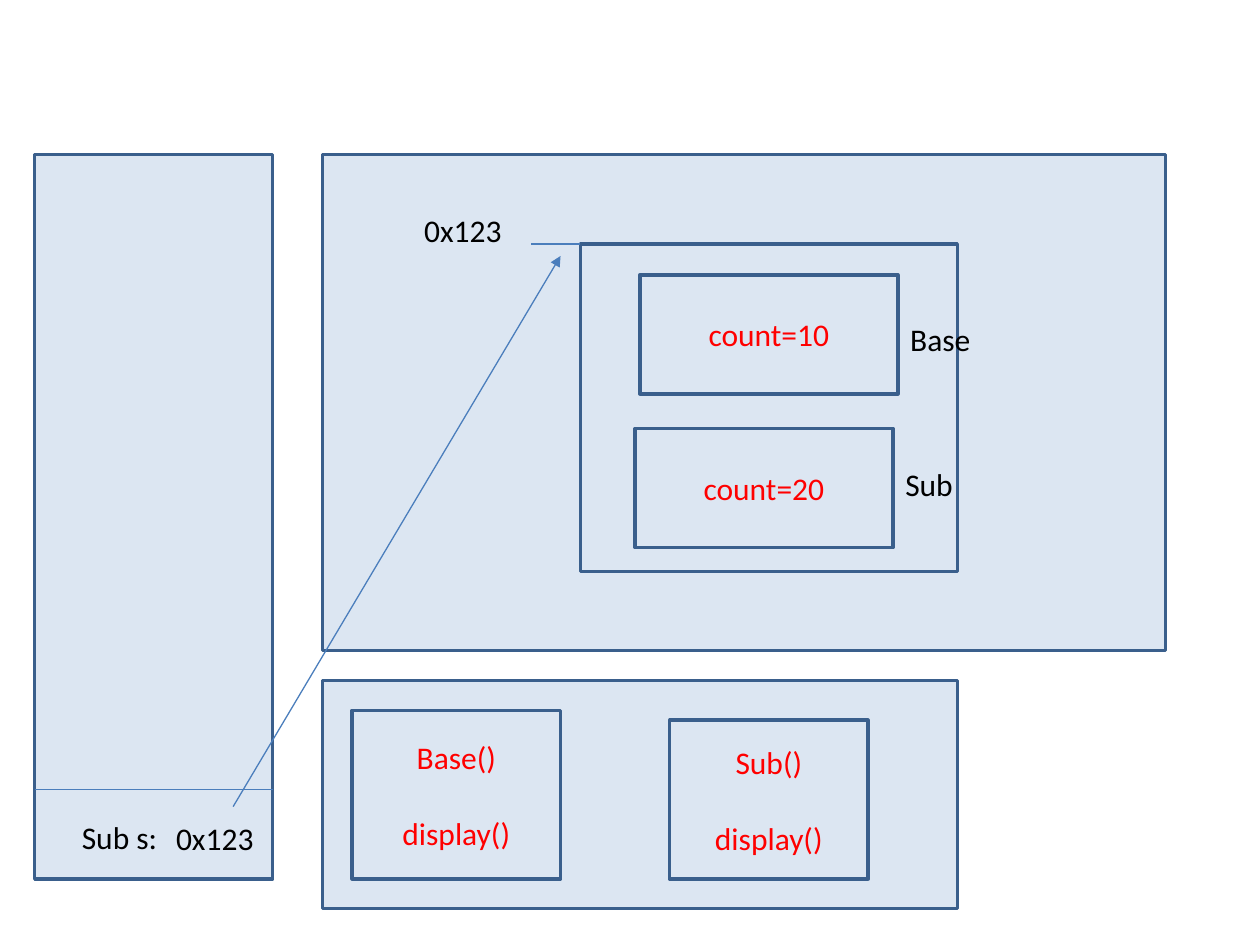
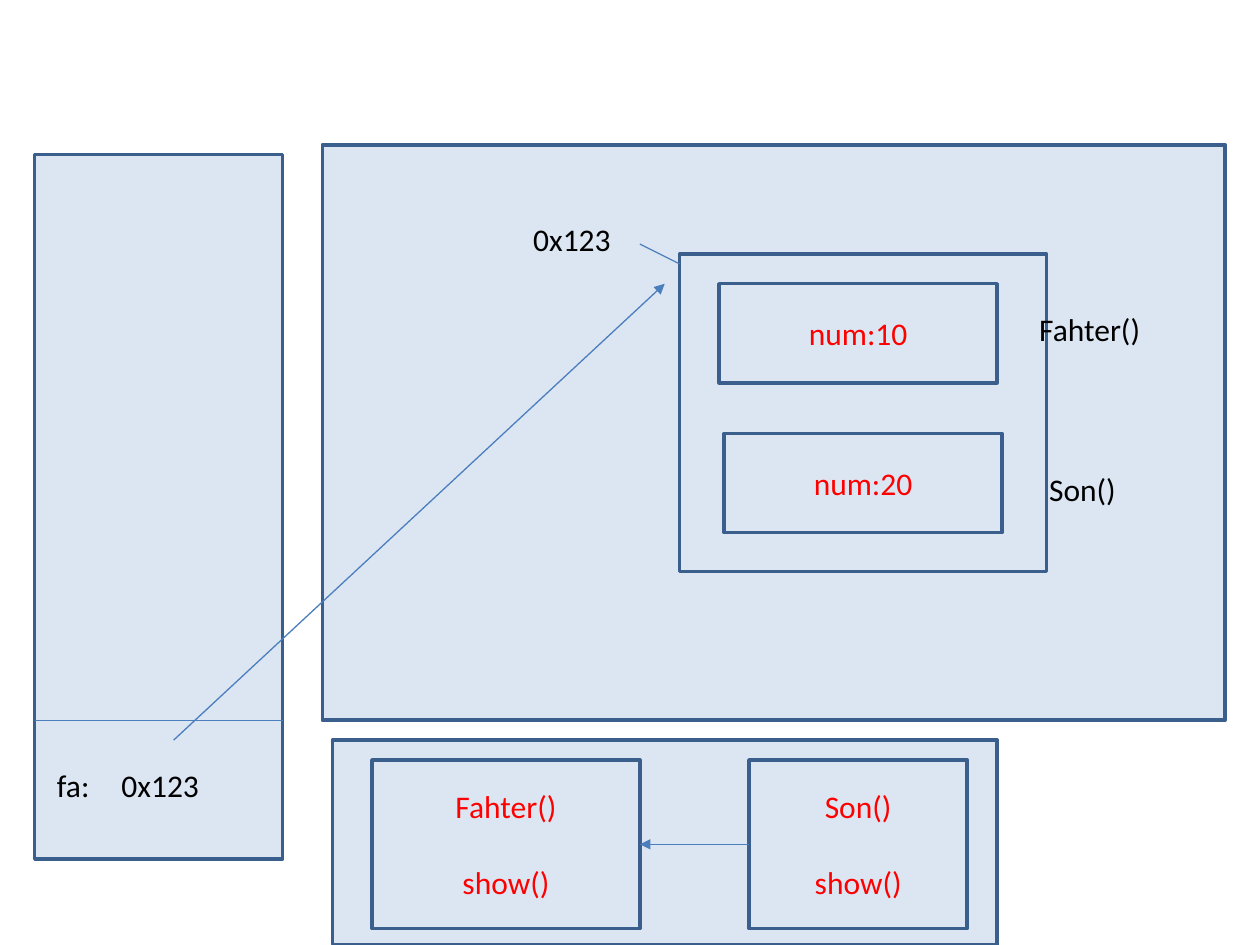
import pptx
import pptx.dml.color
import pptx.enum.shapes
import pptx.enum.text
import pptx.util
from pptx.oxml.ns import qn
from lxml import etree

Cm = pptx.util.Cm
Pt = pptx.util.Pt
Align = pptx.enum.text.PP_ALIGN
Anchor = pptx.enum.text.MSO_ANCHOR


def color(value):
    return pptx.dml.color.RGBColor.from_string(value)


def write(frame, text, size=18, fill="000000", font="Calibri",
          align=Align.LEFT, anchor=Anchor.TOP, gap=0):
    """Put each line of text in its own paragraph, with gap points between."""
    frame.word_wrap = True
    frame.vertical_anchor = anchor
    for index, line in enumerate(text.split("\n")):
        para = frame.add_paragraph() if index else frame.paragraphs[0]
        para.alignment = align
        if index:
            para.space_before = Pt(gap)
        span = para.add_run()
        span.text = line
        span.font.size = Pt(size)
        span.font.name = font
        span.font.color.rgb = color(fill)


class MemoryDiagram:
    """Style and current slide of a stack, heap and method area drawing."""
    area_fill = "DCE6F2"
    outline = "3A5F8C"
    pointer = "4B7EBC"
    content = "FF0000"
    line_gap = 22
    label_height = 1.02

    def __init__(self, deck):
        self.deck = deck
        self.page = None

    def new_page(self):
        self.page = self.deck.slides.add_slide(self.deck.slide_layouts[6])

    def box(self, left, top, width, height, text=""):
        box = self.page.shapes.add_shape(
            pptx.enum.shapes.MSO_SHAPE.RECTANGLE,
            Cm(left), Cm(top), Cm(width), Cm(height))
        box.shadow.inherit = False
        box.fill.solid()
        box.fill.fore_color.rgb = color(self.area_fill)
        box.line.color.rgb = color(self.outline)
        box.line.width = Pt(2)
        if text:
            write(box.text_frame, text, fill=self.content, align=Align.CENTER,
                  anchor=Anchor.MIDDLE, gap=self.line_gap)
        return box

    def label(self, text, left, top, width):
        label = self.page.shapes.add_textbox(
            Cm(left), Cm(top), Cm(width), Cm(self.label_height))
        write(label.text_frame, text)
        label.text_frame.auto_size = pptx.enum.text.MSO_AUTO_SIZE.SHAPE_TO_FIT_TEXT

    def line(self, start, end, arrow=False):
        line = self.page.shapes.add_connector(
            pptx.enum.shapes.MSO_CONNECTOR.STRAIGHT,
            *(Cm(value) for value in start + end))
        line.line.color.rgb = color(self.pointer)
        line.line.width = Pt(0.75)
        if arrow:
            etree.SubElement(line.line._get_or_add_ln(), qn("a:tailEnd"),
                             type="triangle")
        etree.SubElement(line._element.spPr, qn("a:effectLst"))
        return line


def base_and_sub(diagram):
    diagram.new_page()
    # Stack, heap and method area
    diagram.box(0.7, 3.12, 4.8, 14.6)
    diagram.box(6.5, 3.12, 17, 10)
    diagram.box(6.5, 13.72, 12.8, 4.6)
    # Classes in the method area
    diagram.box(7.1, 14.32, 4.2, 3.4, "Base()\ndisplay()")
    diagram.box(13.5, 14.52, 4, 3.2, "Sub()\ndisplay()")
    # Variable on the stack
    diagram.line((0.7, 15.92), (5.5, 15.92))
    diagram.label("Sub s:", 1.4, 16.36, 3.4)
    # Object on the heap
    diagram.box(11.7, 4.92, 7.6, 6.6)
    diagram.box(12.9, 5.54, 5.2, 2.4, "count=10")
    diagram.box(12.8, 8.64, 5.2, 2.4, "count=20")
    diagram.label("Base", 18.1, 6.32, 2.8)
    diagram.label("Sub", 18, 9.25, 2.4)
    # Address and reference
    diagram.line((11.7, 4.92), (10.7, 4.92))
    diagram.label("0x123", 8.3, 4.12, 2.2)
    diagram.label("0x123", 3.3, 16.38, 2.2)
    diagram.line((4.7, 16.26), (11.3, 5.16), arrow=True)


def father_and_son(diagram):
    diagram.new_page()
    # Stack, heap and method area
    diagram.box(0.7, 3.12, 5, 14.2)
    diagram.box(6.5, 2.92, 18.2, 11.6)
    diagram.box(6.7, 14.92, 13.4, 4.12)
    # Classes in the method area, the son inheriting from the father
    father = diagram.box(7.5, 15.32, 5.4, 3.4, "Fahter()\nshow()")
    son = diagram.box(15.1, 15.32, 4.4, 3.4, "Son()\nshow()")
    inherits = diagram.line((15.1, 17.02), (12.9, 17.02), arrow=True)
    inherits.begin_connect(son, 1)
    inherits.end_connect(father, 3)
    # Variable on the stack
    diagram.line((0.7, 14.52), (5.7, 14.52))
    diagram.label("fa:", 0.9, 15.32, 4.8)
    # Object on the heap
    diagram.box(13.7, 5.12, 7.4, 6.4)
    # Address and reference
    diagram.line((13.7, 5.32), (12.9, 4.92))
    diagram.label("0x123", 10.5, 4.32, 2.6)
    diagram.label("0x123", 2.2, 15.32, 2.6)
    diagram.line((3.5, 14.92), (13.4, 5.72), arrow=True)
    # Parts of the object
    diagram.box(14.5, 5.72, 5.6, 2, "num:10")
    diagram.box(14.6, 8.74, 5.6, 2, "num:20")
    diagram.label("Fahter()", 20.7, 6.12, 4.7)
    diagram.label("Son()", 20.9, 9.35, 4.1)


def main():
    deck = pptx.Presentation()
    deck.slide_width = Cm(25.4)
    deck.slide_height = Cm(19.05)
    diagram = MemoryDiagram(deck)
    base_and_sub(diagram)
    father_and_son(diagram)
    deck.save("out.pptx")


if __name__ == "__main__":
    main()
